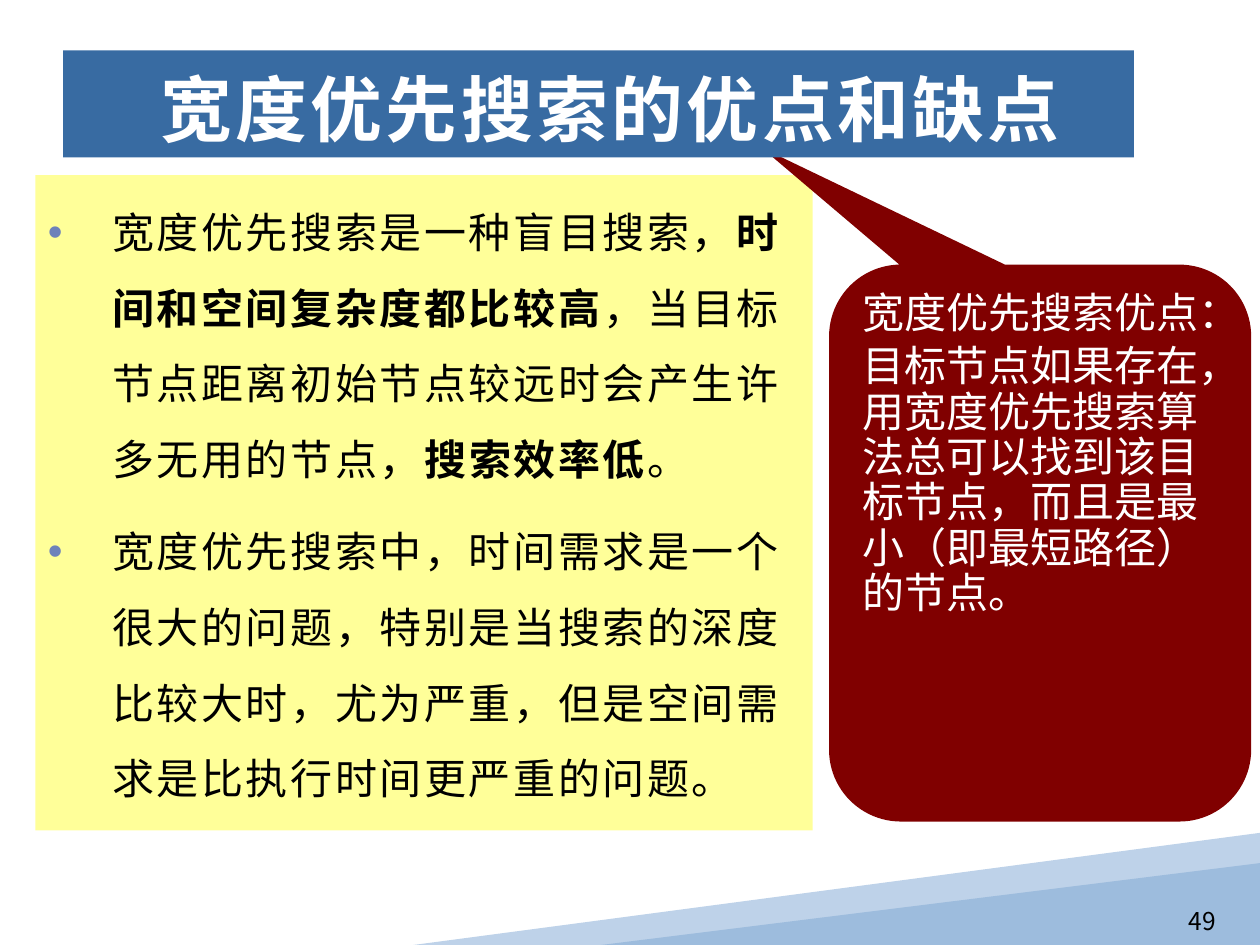
from lxml import etree
from pptx import Presentation
from pptx import util as u
from pptx.dml.color import RGBColor
from pptx.enum import shapes, text
from pptx.oxml.ns import qn

FONT = "Noto Sans CJK SC"


def color(value):
    return RGBColor.from_string(value)


def add_run(paragraph, content, size=24, ink="000000", bold=False, tracking=0):
    run = paragraph.add_run()
    run.text = content
    font = run.font
    font.size = u.Pt(size)
    font.bold = bold
    font.name = FONT
    font.color.rgb = color(ink)
    properties = font._element
    if tracking:
        properties.set("spc", str(round(tracking * 100)))
    east_asian = etree.Element(qn("a:ea"), typeface=FONT)
    properties.find(qn("a:latin")).addnext(east_asian)


def set_indent(paragraph, margin, first):
    properties = paragraph._p.get_or_add_pPr()
    properties.set("marL", str(u.Inches(margin)))
    properties.set("indent", str(u.Inches(first)))
    return properties


def add_bullet(paragraph, ink):
    properties = set_indent(paragraph, 0.51, -0.51)
    bullet_color = etree.SubElement(properties, qn("a:buClr"))
    etree.SubElement(bullet_color, qn("a:srgbClr"), val=ink)
    etree.SubElement(properties, qn("a:buFont"), typeface="Arial")
    etree.SubElement(properties, qn("a:buChar"), char="•")


class SlideBuilder:
    blue, yellow, maroon, white = "386BA2", "FFFF99", "800000", "FFFFFF"
    bullet = "6E82BA"

    def __init__(self, deck):
        self.slide = deck.slides.add_slide(deck.slide_layouts[1])

    def paint(self, shape, fill):
        shape.fill.solid()
        shape.fill.fore_color.rgb = color(fill)
        shape.line.fill.background()
        shape.shadow.inherit = False

    def frame(self, shape, anchor):
        frame = shape.text_frame
        frame.word_wrap = True
        frame.auto_size = text.MSO_AUTO_SIZE.NONE
        frame.vertical_anchor = anchor
        return frame

    def paragraphs(self, frame, contents, spacing, gap):
        for index, runs in enumerate(contents):
            paragraph = frame.add_paragraph() if index else frame.paragraphs[0]
            paragraph.alignment = text.PP_ALIGN.LEFT
            paragraph.line_spacing = spacing
            paragraph.space_before = u.Pt(gap if index else 0)
            yield paragraph, runs

    def place(self, placeholder, box, fill):
        placeholder.left, placeholder.top, placeholder.width, placeholder.height = map(u.Inches, box)
        self.paint(placeholder, fill)
        self.slide.shapes._spTree.append(placeholder._element)

    def ribbons(self):
        group = self.slide.shapes.add_group_shape()
        outline = group.shapes.build_freeform(u.Inches(10), u.Inches(6.61), scale=1.0)
        corners = [(10, 7.44), (6.73, 7.5), (3.28, 7.5)]
        outline.add_line_segments([(u.Inches(x), u.Inches(y)) for x, y in corners], close=True)
        self.paint(outline.convert_to_shape(), "BED2E9")
        wedge = group.shapes.add_shape(
            shapes.MSO_SHAPE.ISOSCELES_TRIANGLE, *map(u.Inches, (4.77, 6.85, 5.23, 0.65)))
        wedge.adjustments[0] = 1
        self.paint(wedge, "9DBCDD")

    def page_number(self, number):
        box = self.slide.shapes.add_textbox(*map(u.Inches, (7.58, 7.08, 2.17, 0.39)))
        paragraph = self.frame(box, text.MSO_ANCHOR.BOTTOM).paragraphs[0]
        paragraph.alignment = text.PP_ALIGN.RIGHT
        add_run(paragraph, number, size=14)

    def body(self, contents):
        drawbacks = self.slide.placeholders[1]
        self.place(drawbacks, (0.28, 1.39, 6.17, 5.2), self.yellow)
        frame = self.frame(drawbacks, text.MSO_ANCHOR.TOP)
        for paragraph, runs in self.paragraphs(frame, contents, 1.5, 9.6):
            add_bullet(paragraph, self.bullet)
            for content, bold in runs:
                add_run(paragraph, content, bold=bold, tracking=1.5)

    def callout(self, contents):
        advantages = self.slide.shapes.add_shape(
            shapes.MSO_SHAPE.ROUNDED_RECTANGULAR_CALLOUT, *map(u.Inches, (6.58, 2.1, 3.35, 4.42)))
        for index, value in enumerate((-0.66, -0.71, 0.17)):
            advantages.adjustments[index] = value
        self.paint(advantages, self.maroon)
        frame = self.frame(advantages, text.MSO_ANCHOR.TOP)
        for paragraph, content in self.paragraphs(frame, contents, 0.9, 4.8):
            add_run(paragraph, content, ink=self.white)

    def title(self, content):
        heading = self.slide.shapes.title
        self.place(heading, (0.5, 0.4, 8.5, 0.85), self.blue)
        paragraph = self.frame(heading, text.MSO_ANCHOR.BOTTOM).paragraphs[0]
        paragraph.alignment = text.PP_ALIGN.CENTER
        set_indent(paragraph, 0, 0.19)
        add_run(paragraph, content, size=41, ink=self.white, bold=True, tracking=2)


def main():
    deck = Presentation()
    deck.slide_width, deck.slide_height = u.Inches(10), u.Inches(7.5)
    builder = SlideBuilder(deck)
    builder.ribbons()
    builder.page_number("49")
    builder.body([
        [
            ("宽度优先搜索是一种盲目搜索，", False),
            ("时间和空间复杂度都比较高", True),
            ("，当目标节点距离初始节点较远时会产生许多无用的节点，", False),
            ("搜索效率低", True),
            ("。", False),
        ],
        [("宽度优先搜索中，时间需求是一个很大的问题，特别是当搜索的深度比较大时，"
          "尤为严重，但是空间需求是比执行时间更严重的问题。", False)],
    ])
    builder.callout([
        "宽度优先搜索优点：",
        "目标节点如果存在，用宽度优先搜索算法总可以找到该目标节点，而且是最小（即最短路径）的节点。",
    ])
    builder.title("宽度优先搜索的优点和缺点")
    deck.save("out.pptx")


if __name__ == "__main__":
    main()
